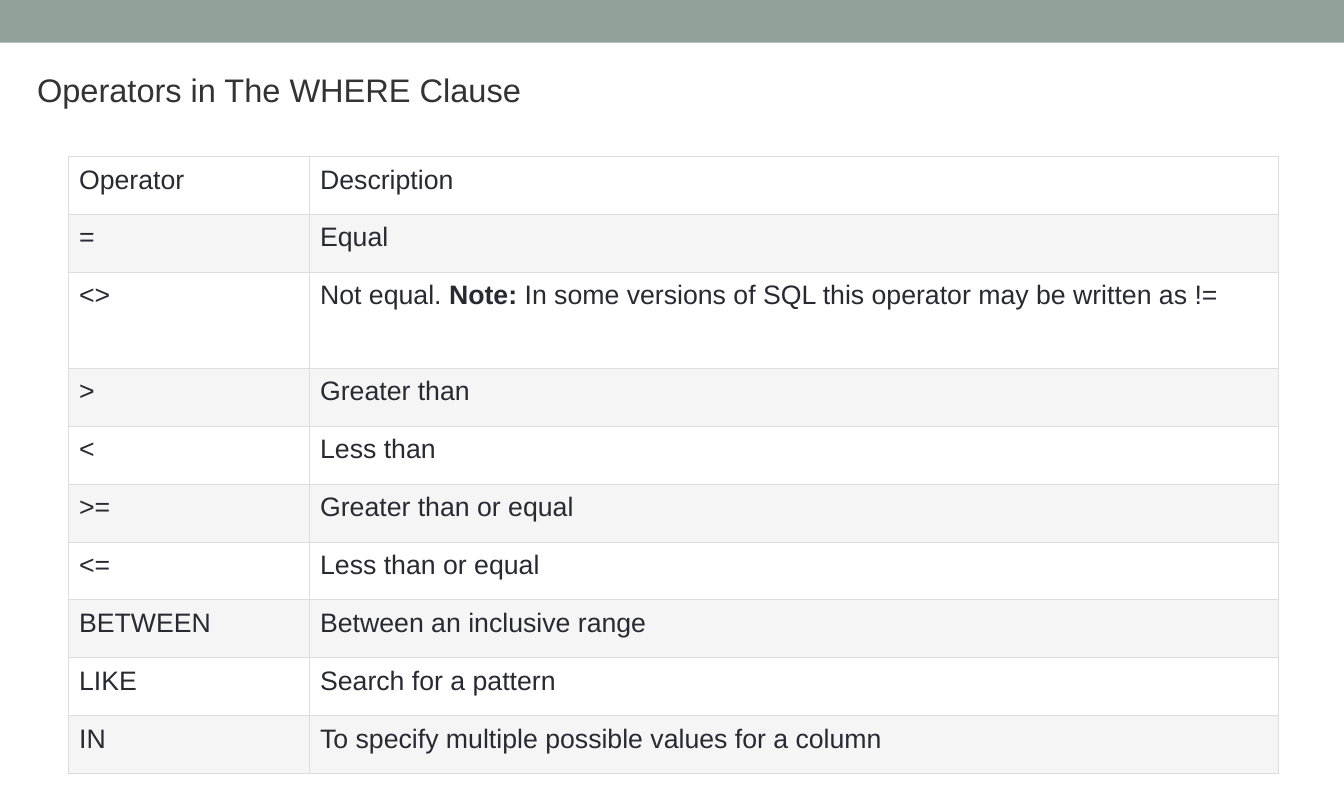
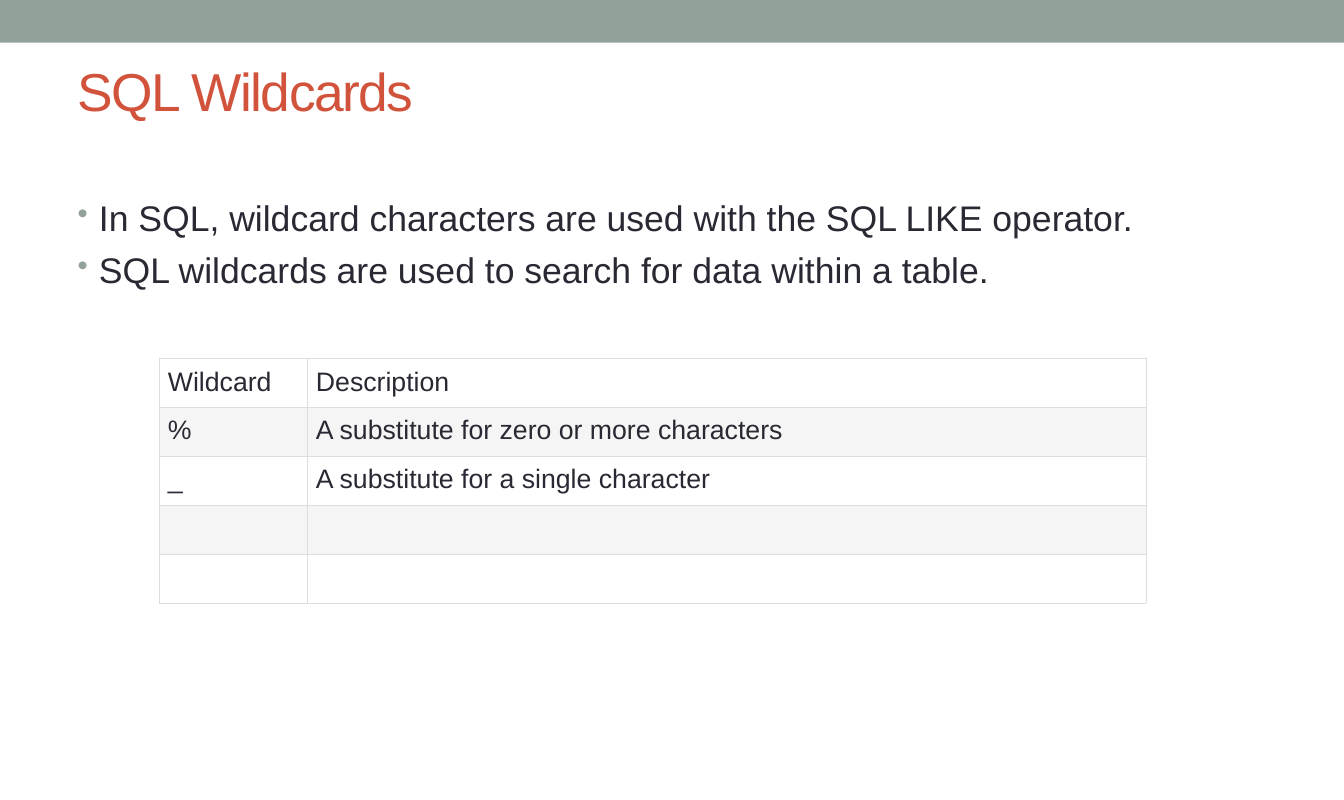
from pptx import Presentation
from pptx.dml.color import RGBColor
from pptx.enum.shapes import MSO_SHAPE
from pptx.enum.text import MSO_ANCHOR
from pptx.oxml import parse_xml
from pptx.oxml.ns import nsdecls
from pptx.util import Pt

WIDTH, HEIGHT = 907.2, 540
BAND, TEXT, BORDER = "93A299", "292934", "DDDDDD"
STRIPES = ("FFFFFF", "F5F5F5")

# ** marks the start and end of bold words
OPERATORS = [
    ("Operator", "Description"),
    ("=", "Equal"),
    ("<>", "Not equal. **Note:** In some versions of SQL this operator may be written as !="),
    (">", "Greater than"),
    ("<", "Less than"),
    (">=", "Greater than or equal"),
    ("<=", "Less than or equal"),
    ("BETWEEN", "Between an inclusive range"),
    ("LIKE", "Search for a pattern"),
    ("IN", "To specify multiple possible values for a column"),
]
WILDCARDS = [
    ("Wildcard", "Description"),
    ("%", "A substitute for zero or more characters"),
    ("_", "A substitute for a single character"),
    ("", ""),
    ("", ""),
]
BULLETS = [
    "In SQL, wildcard characters are used with the SQL LIKE operator.",
    "SQL wildcards are used to search for data within a table.",
]


def rgb(color):
    return RGBColor.from_string(color)


def write(para, text, size, color=TEXT):
    for index, part in enumerate(text.split("**")):
        span = para.add_run()
        span.text = part
        span.font.color.rgb = rgb(color)
        style = {"name": "Arial", "size": Pt(size), "bold": index % 2 == 1}
        for name, value in style.items():
            setattr(span.font, name, value)


def add_page(deck):
    page = deck.slides.add_slide(deck.slide_layouts[6])
    band = page.shapes.add_shape(MSO_SHAPE.RECTANGLE, 0, 0, Pt(WIDTH), Pt(28.8))
    band.shadow.inherit = False
    band.fill.solid()
    band.fill.fore_color.rgb = rgb(BAND)
    band.line.fill.background()
    return page


def add_box(page, left, top, width, height, inset_top):
    box = page.shapes.add_textbox(Pt(left), Pt(top), Pt(width), Pt(height))
    frame = box.text_frame
    layout = {"word_wrap": True, "vertical_anchor": MSO_ANCHOR.TOP,
              "margin_left": Pt(7.2), "margin_right": Pt(7.2),
              "margin_top": Pt(inset_top), "margin_bottom": Pt(0)}
    for name, value in layout.items():
        setattr(frame, name, value)
    return frame


def add_title(page, text, place, inset_top, size, color, spacing=0):
    para = add_box(page, *place, inset_top).paragraphs[0]
    write(para, text, size, color)
    if spacing:
        para.runs[0].font._element.set("spc", str(spacing * 100))


def add_bullets(page, items, place, inset_top):
    frame = add_box(page, *place, inset_top)
    for index, item in enumerate(items):
        para = frame.paragraphs[0] if index == 0 else frame.add_paragraph()
        para.space_after = Pt(6)
        write(para, item, 24)
        props = para._p.get_or_add_pPr()
        props.set("marL", str(Pt(14.4)))
        props.set("indent", str(-Pt(14.4)))
        for xml in (f'<a:buClr {nsdecls("a")}><a:srgbClr val="{BAND}"/></a:buClr>',
                    f'<a:buSzPct {nsdecls("a")} val="85000"/>',
                    f'<a:buChar {nsdecls("a")} char="•"/>'):
            props.append(parse_xml(xml))


def add_borders(cell):
    props = cell._tc.get_or_add_tcPr()
    for side in ("lnL", "lnR", "lnT", "lnB"):
        props.append(parse_xml(
            f'<a:{side} {nsdecls("a")} w="{Pt(0.75)}"><a:solidFill>'
            f'<a:srgbClr val="{BORDER}"/></a:solidFill></a:{side}>'))


def add_striped_table(page, rows, left, top, widths, heights, inset):
    """Draw rows with alternating fills; inset is the left and right cell margin."""
    table = page.shapes.add_table(len(rows), len(widths), Pt(left), Pt(top),
                                  Pt(sum(widths)), Pt(sum(heights))).table
    table.first_row = table.horz_banding = False
    for column, width in zip(table.columns, widths):
        column.width = Pt(width)
    margins = {"margin_left": inset, "margin_right": inset,
               "margin_top": 5.7, "margin_bottom": 5.7}
    for r, (row, height) in enumerate(zip(rows, heights)):
        table.rows[r].height = Pt(height)
        for c, text in enumerate(row):
            cell = table.cell(r, c)
            for name, value in margins.items():
                setattr(cell, name, Pt(value))
            add_borders(cell)
            cell.fill.solid()
            cell.fill.fore_color.rgb = rgb(STRIPES[r % 2])
            write(cell.text_frame.paragraphs[0], text, 18)


def main():
    deck = Presentation()
    deck.slide_width, deck.slide_height = Pt(WIDTH), Pt(HEIGHT)

    page = add_page(deck)
    heights = [64.8 if row[0] == "<>" else 39.1 for row in OPERATORS]
    add_striped_table(page, OPERATORS, 46.2, 105.6, (162.7, 653.8), heights, 7.2)
    add_title(page, "Operators in The WHERE Clause", (18, 31.7, 590.4, 69.8),
              15.6, 22, "333333")

    page = add_page(deck)
    add_title(page, "SQL Wildcards", (45.36, 39.5, 816.5, 80), 0, 36, "D2533C", -1)
    add_bullets(page, BULLETS, (45.36, 126, 816.5, 383.8), 6.3)
    add_striped_table(page, WILDCARDS, 107.6, 241.9, (100, 566),
                      [32.2] * len(WILDCARDS), 5.7)

    deck.save("out.pptx")


if __name__ == "__main__":
    main()
